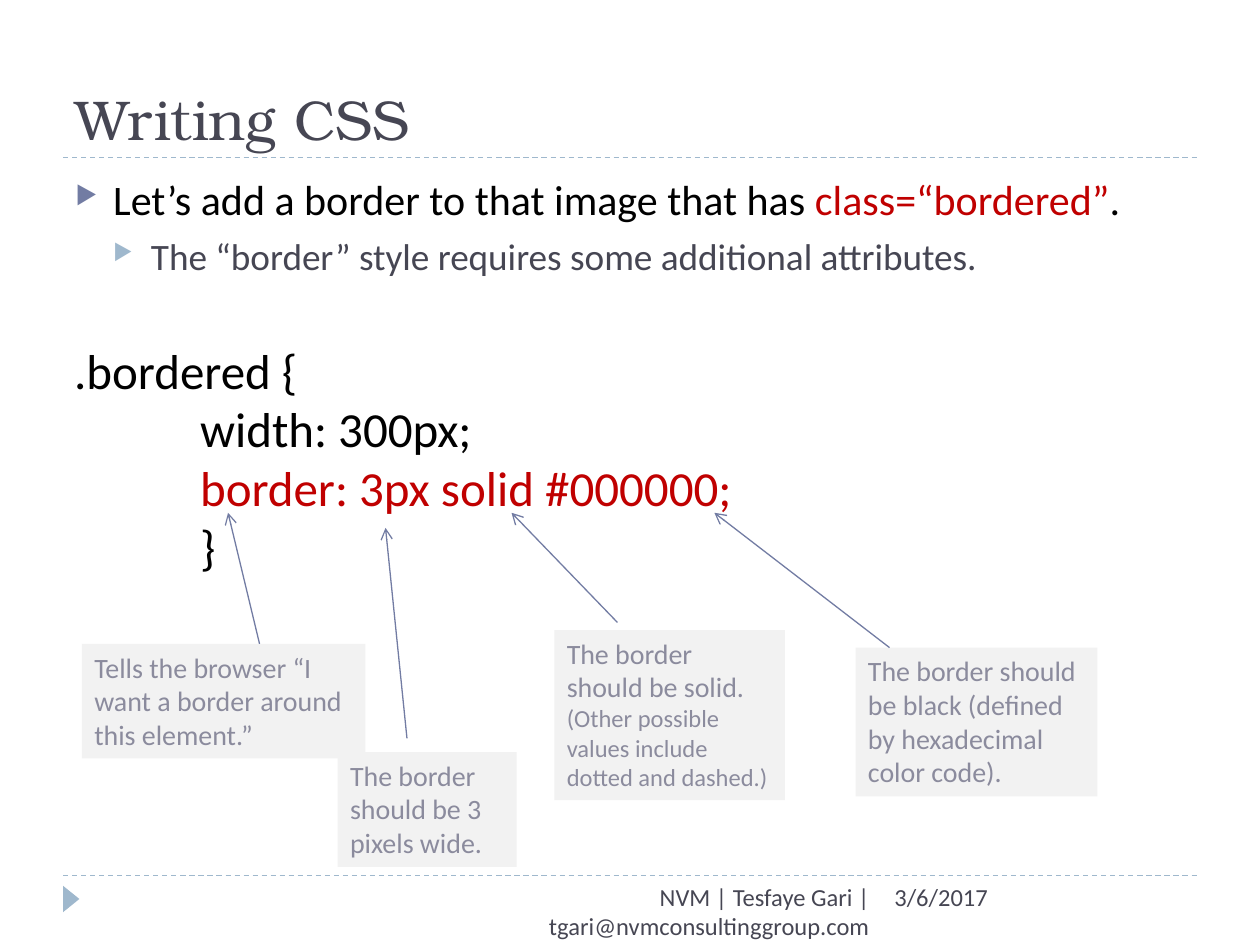
from lxml import etree
from pptx import Presentation
from pptx.dml.color import RGBColor
from pptx.enum.dml import MSO_LINE
from pptx.enum.shapes import MSO_CONNECTOR, MSO_SHAPE
from pptx.enum.text import MSO_ANCHOR, PP_ALIGN
from pptx.oxml.ns import qn
from pptx.util import Inches, Pt

STRAIGHT = MSO_CONNECTOR.STRAIGHT
RECTANGLE, TRIANGLE = MSO_SHAPE.RECTANGLE, MSO_SHAPE.ISOSCELES_TRIANGLE
DASH = MSO_LINE.DASH
TOP, BOTTOM = MSO_ANCHOR.TOP, MSO_ANCHOR.BOTTOM
LEFT, RIGHT = PP_ALIGN.LEFT, PP_ALIGN.RIGHT

BLACK = RGBColor(0x00, 0x00, 0x00)
RED = RGBColor(0xC0, 0x00, 0x00)
SLATE = RGBColor(0x46, 0x46, 0x53)
INDIGO = RGBColor(0x72, 0x7C, 0xA3)
PALE_BLUE = RGBColor(0x9F, 0xB8, 0xCD)
NOTE_FILL = RGBColor(0xF2, 0xF2, 0xF2)
NOTE_TEXT = RGBColor(0x8B, 0x8B, 0x9D)
BODY_FONT, TITLE_FONT = "Calibri", "TeX Gyre Bonum"


def write_text(frame, paragraphs, size, color, font=BODY_FONT, align=LEFT, anchor=TOP):
    """Fill a frame; each paragraph is a list of (text, overrides) runs."""
    frame.word_wrap = True
    frame.vertical_anchor = anchor
    for index, runs in enumerate(paragraphs):
        paragraph = frame.paragraphs[0] if index == 0 else frame.add_paragraph()
        paragraph.alignment = align
        for text, changes in runs:
            run = paragraph.add_run()
            run.text = text
            run.font.name = font
            run.font.size = Pt(changes.get("size", size))
            run.font.color.rgb = changes.get("color", color)


def add_text(slide, box, paragraphs, **style):
    frame = slide.shapes.add_textbox(*map(Inches, box)).text_frame
    write_text(frame, paragraphs, **style)
    return frame


def add_block(slide, kind, box, fill):
    block = slide.shapes.add_shape(kind, *map(Inches, box))
    block.shadow.inherit = False
    block.fill.solid()
    block.fill.fore_color.rgb = fill
    block.line.fill.background()
    return block


def add_line(slide, start, end, color):
    line = slide.shapes.add_connector(STRAIGHT, *map(Inches, start + end))
    line.line.color.rgb = color
    line.line.width = Pt(0.75)
    etree.SubElement(line._element.spPr, qn("a:effectLst"))
    return line


def add_rule(slide, left, top, width):
    add_line(slide, (left, top), (left + width, top), PALE_BLUE).line.dash_style = DASH


def add_arrow(slide, start, end):
    arrow = add_line(slide, start, end, INDIGO)
    etree.SubElement(arrow.line._get_or_add_ln(), qn("a:tailEnd"), type="arrow")


def set_bullet(paragraph, level, color, space):
    paragraph.level = level
    paragraph.space_before = Pt(space)
    props = paragraph._p.get_or_add_pPr()
    props.set("marL", str(Inches(0.3 * (level + 1))))
    props.set("indent", str(Inches(-0.3)))
    bullet_color = etree.SubElement(props, qn("a:buClr"))
    etree.SubElement(bullet_color, qn("a:srgbClr"), val=str(color))
    etree.SubElement(props, qn("a:buSzPct"), val="60000")
    etree.SubElement(props, qn("a:buChar"), char="▶")


def set_tab_stop(paragraph, position):
    stops = etree.SubElement(paragraph._p.get_or_add_pPr(), qn("a:tabLst"))
    etree.SubElement(stops, qn("a:tab"), pos=str(Inches(position)), algn="l")


def add_header(slide, box):
    left, top, width, height = box
    add_rule(slide, left, top + height, width)
    add_text(slide, box, [[("Writing CSS", {})]], size=32, color=SLATE,
             font=TITLE_FONT, anchor=BOTTOM)


def add_bullets(slide, box):
    frame = add_text(slide, box, [
        [("Let’s add a border to that image that has ", {}),
         ("class=“bordered”", {"color": RED}), (".", {})],
        [("The “border” style requires some additional attributes.",
          {"size": 21.3, "color": SLATE})],
    ], size=24, color=BLACK)
    for level, (color, space) in enumerate([(INDIGO, 6), (PALE_BLUE, 5)]):
        set_bullet(frame.paragraphs[level], level, color, space)


def add_code(slide, box):
    frame = add_text(slide, box, [
        [(".bordered {", {})],
        [("\twidth: 300px;", {})],
        [("\t", {}), ("border: 3px solid #000000;", {"color": RED})],
        [("\t}", {})],
    ], size=28, color=BLACK)
    for code_line in frame.paragraphs:
        set_tab_stop(code_line, 1)


def add_note(slide, box, runs, arrow_start, arrow_end):
    """Grey explanation with an arrow to the part of the rule it explains."""
    note = add_block(slide, RECTANGLE, box, NOTE_FILL)
    write_text(note.text_frame, [runs], size=16, color=NOTE_TEXT)
    add_arrow(slide, arrow_start, arrow_end)


def add_footer(slide, box):
    left, top, width, height = box
    date_width, contact_width = 2.5, 3.83
    date_left = left + width - date_width
    add_rule(slide, left, top, width)
    marker = add_block(slide, TRIANGLE, (left - 0.04, top + 0.12, 0.21, 0.13), PALE_BLUE)
    marker.rotation = 90
    add_text(slide, (date_left, top, date_width, height), [[("3/6/2017", {})]],
             size=14, color=SLATE)
    add_text(slide, (date_left - contact_width, top, contact_width, height),
             [[("NVM | Tesfaye Gari | tgari@nvmconsultinggroup.com", {})]],
             size=14, color=SLATE, align=RIGHT)


# Box, runs, arrow start, arrow end
NOTES = [
    ((0.65, 5.11, 2.25, 0.91),
     [("Tells the browser “I want a border around this element.”", {})],
     (2.06, 5.11), (1.81, 4.07)),
    ((2.68, 5.97, 1.42, 0.91),
     [("The border should be 3 pixels wide.", {})],
     (3.23, 5.86), (3.06, 4.19)),
    ((4.4, 5, 1.83, 1.35),
     [("The border should be solid. ", {}),
      ("(Other possible values include dotted and dashed.)", {"size": 14})],
     (4.9, 4.94), (4.06, 4.07)),
    ((6.79, 5.14, 1.92, 1.18),
     [("The border should be black (defined by hexadecimal color code).", {})],
     (7.06, 5.14), (5.67, 4.07)),
]


def main():
    deck = Presentation()
    deck.slide_width, deck.slide_height = Inches(10), Inches(7.5)
    slide = deck.slides.add_slide(deck.slide_layouts[6])
    add_header(slide, (0.5, 0.17, 9, 1.08))
    add_bullets(slide, (0.5, 1.33, 9, 0.92))
    add_code(slide, (0.49, 2.65, 5.5, 1.99))
    for note in NOTES:
        add_note(slide, *note)
    add_footer(slide, (0.5, 6.95, 9, 0.4))
    deck.save("out.pptx")


if __name__ == "__main__":
    main()
